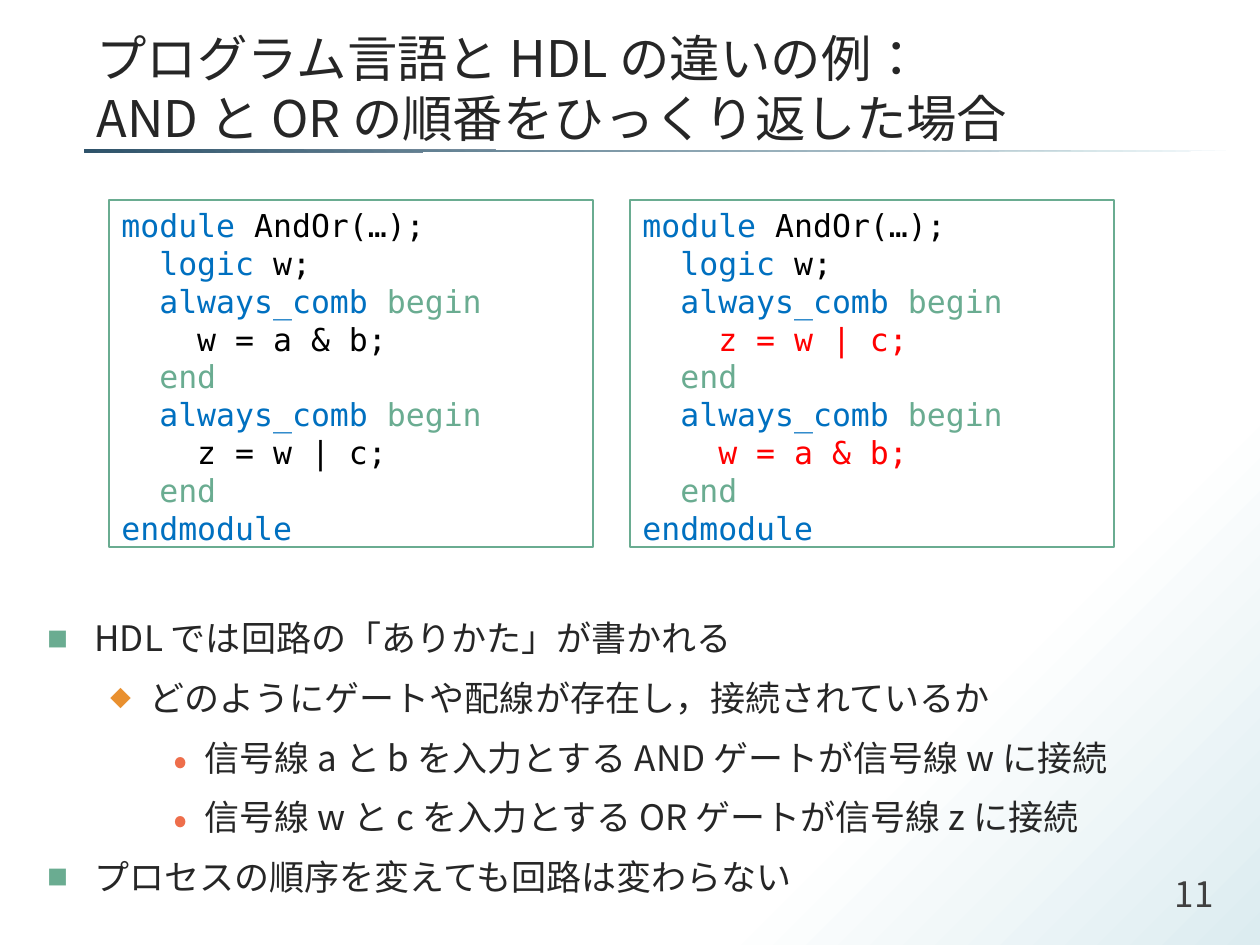
from lxml.etree import SubElement
from pptx import Presentation
from pptx.dml.color import RGBColor
from pptx.enum.lang import MSO_LANGUAGE_ID as Language
from pptx.enum.shapes import MSO_SHAPE
from pptx.enum.text import MSO_ANCHOR, PP_ALIGN
from pptx.oxml import parse_xml
from pptx.oxml.ns import nsdecls, qn
from pptx.util import Emu, Pt

PX_PER_INCH = 126
TEXT_FONT = "Noto Sans CJK JP"
CODE_FONT = "DejaVu Sans Mono"

BLACK = RGBColor(0, 0, 0)
WHITE = RGBColor(0xFF, 0xFF, 0xFF)
RED = RGBColor(0xFF, 0, 0)
INK = RGBColor(0x26, 0x26, 0x26)
GRAY = RGBColor(0x40, 0x40, 0x40)
BLUE = RGBColor(0x00, 0x70, 0xC0)
GREEN = RGBColor(0x6A, 0xAC, 0x91)
ORANGE = RGBColor(0xE9, 0x90, 0x2F)
CORAL = RGBColor(0xEE, 0x6E, 0x4B)
PALE = RGBColor(0xDC, 0xEC, 0xF0)
NAVY = RGBColor(0x2E, 0x53, 0x6A)

# Per level: bullet, its colour and percent size, left margin and hanging indent in px
LEVELS = [
    ("■", GREEN, 60, 47, 47),
    ("◆", ORANGE, 60, 102, 39),
    ("•", CORAL, 120, 157, 31),
]
POINTS = [
    (0, "HDL では回路の「ありかた」が書かれる"),
    (1, "どのようにゲートや配線が存在し，接続されているか"),
    (2, "信号線 a と b を入力とする AND ゲートが信号線 w に接続"),
    (2, "信号線 w と c を入力とする OR ゲートが信号線 z に接続"),
    (0, "プロセスの順序を変えても回路は変わらない"),
]
AND_LINE, OR_LINE = "w = a & b;", "z = w | c;"


def px(n):
    return Emu(round(n * 914400 / PX_PER_INCH))


def place(shape, left, top, width, height):
    shape.left, shape.top = px(left), px(top)
    shape.width, shape.height = px(width), px(height)


def style(paragraph, size, color, face=TEXT_FONT):
    font = paragraph.font
    font.size, font.name = Pt(size), face
    if color is not None:
        font.color.rgb = color
    latin = font._element.find(qn("a:latin"))
    latin.addnext(parse_xml(f'<a:ea {nsdecls("a")} typeface="{face}"/>'))


def set_gradient(fill, stops):
    """Lay the colour stops along a 45 degree diagonal."""
    fill.gradient()
    fill.gradient_angle = 315
    stop_list = fill._fill._gradFill.find(qn("a:gsLst"))
    for old in list(stop_list):
        stop_list.remove(old)
    for percent, color in stops:
        stop = SubElement(stop_list, qn("a:gs"), pos=str(percent * 1000))
        SubElement(stop, qn("a:srgbClr"), val=str(color))


def add_title(slide, text):
    title = slide.shapes.title
    place(title, 84, 26, 1142, 123)
    frame = title.text_frame
    frame.text = text
    frame.vertical_anchor = MSO_ANCHOR.MIDDLE
    paragraph = frame.paragraphs[0]
    paragraph.alignment = PP_ALIGN.LEFT
    style(paragraph, 28.8, INK)
    # Japanese punctuation is centred in its cell
    for run in paragraph.runs:
        run.font.language_id = Language.JAPANESE


def add_title_rule(slide):
    # A thin triangle, turned so that its tip points right
    rule = slide.shapes.add_shape(
        MSO_SHAPE.ISOSCELES_TRIANGLE, px(654), px(-420), px(3), px(1142))
    rule.rotation = 90
    rule.shadow.inherit = False
    rule.line.fill.background()
    set_gradient(rule.fill, [(0, PALE), (100, NAVY)])


def code_lines(first, second, statement_color):
    def block(statement):
        return [
            [("  always_comb ", BLUE), ("begin", GREEN)],
            [("    " + statement, statement_color)],
            [("  end", GREEN)],
        ]

    return [
        [("module ", BLUE), ("AndOr(…);", BLACK)],
        [("  logic ", BLUE), ("w;", BLACK)],
        *block(first),
        *block(second),
        [("endmodule", BLUE)],
    ]


def add_code_box(slide, left, lines):
    box = slide.shapes.add_shape(
        MSO_SHAPE.RECTANGLE, px(left), px(200), px(484), px(347))
    box.shadow.inherit = False
    box.fill.background()
    box.line.color.rgb = GREEN
    box.line.width = Pt(1.25)
    frame = box.text_frame
    frame.word_wrap = True
    frame.vertical_anchor = MSO_ANCHOR.TOP
    for i, tokens in enumerate(lines):
        paragraph = frame.add_paragraph() if i else frame.paragraphs[0]
        paragraph.alignment = PP_ALIGN.LEFT
        style(paragraph, 18, None, CODE_FONT)
        for text, color in tokens:
            run = paragraph.add_run()
            run.text = text
            run.font.color.rgb = color


def add_text_box(slide, left, top, width, height):
    box = slide.shapes.add_textbox(px(left), px(top), px(width), px(height))
    frame = box.text_frame
    frame.word_wrap = True
    frame.vertical_anchor = MSO_ANCHOR.MIDDLE
    return frame


def set_bullet(paragraph, level):
    char, color, percent, margin, hang = LEVELS[level]
    props = paragraph._p.get_or_add_pPr()
    props.set("marL", str(px(margin)))
    props.set("indent", str(-px(hang)))
    default_font = props.find(qn("a:defRPr"))
    for xml in (
        f'<a:buClr {nsdecls("a")}><a:srgbClr val="{color}"/></a:buClr>',
        f'<a:buSzPct {nsdecls("a")} val="{percent * 1000}"/>',
        f'<a:buFont {nsdecls("a")} typeface="{TEXT_FONT}"/>',
        f'<a:buChar {nsdecls("a")} char="{char}"/>',
    ):
        default_font.addprevious(parse_xml(xml))


def add_points(slide):
    frame = add_text_box(slide, 35, 596, 1191, 322)
    for i, (level, text) in enumerate(POINTS):
        paragraph = frame.add_paragraph() if i else frame.paragraphs[0]
        paragraph.text = text
        paragraph.level = level
        paragraph.space_before = Pt(10)
        style(paragraph, 20, INK)
        set_bullet(paragraph, level)


def add_page_number(slide, number):
    paragraph = add_text_box(slide, 1126, 869, 100, 49).paragraphs[0]
    paragraph.text = number
    paragraph.alignment = PP_ALIGN.RIGHT
    style(paragraph, 20, GRAY)


def main():
    deck = Presentation()
    deck.slide_width, deck.slide_height = px(1260), px(945)
    slide = deck.slides.add_slide(deck.slide_layouts[5])
    set_gradient(slide.background.fill, [(0, WHITE), (75, WHITE), (100, PALE)])

    # Heading
    add_title_rule(slide)
    add_title(slide, "プログラム言語と HDL の違いの例：\vAND と OR の順番をひっくり返した場合")

    # The two orders side by side
    add_code_box(slide, 109, code_lines(AND_LINE, OR_LINE, BLACK))
    add_code_box(slide, 630, code_lines(OR_LINE, AND_LINE, RED))

    # Explanation and page number
    add_points(slide)
    add_page_number(slide, "11")
    deck.save("out.pptx")


if __name__ == "__main__":
    main()
